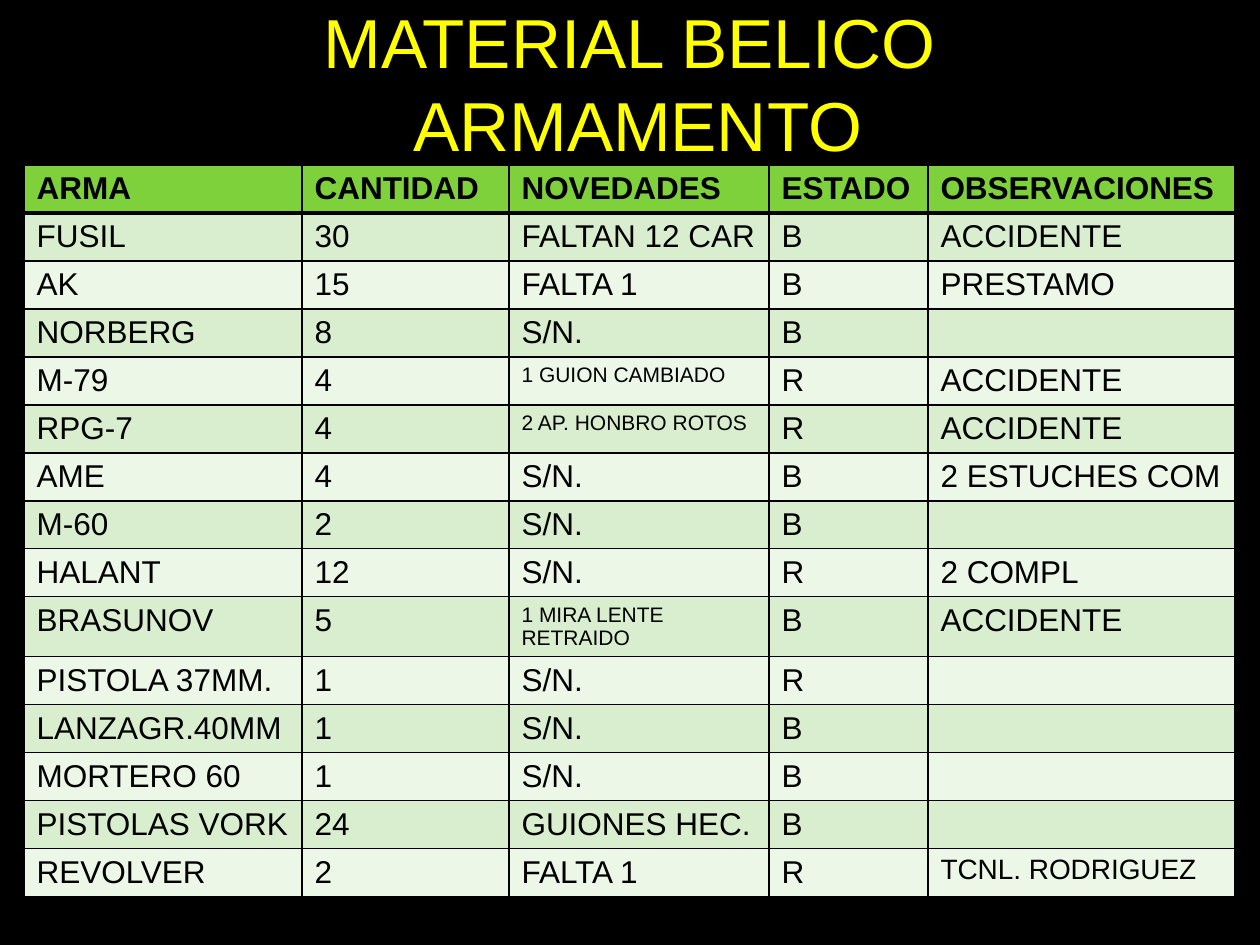
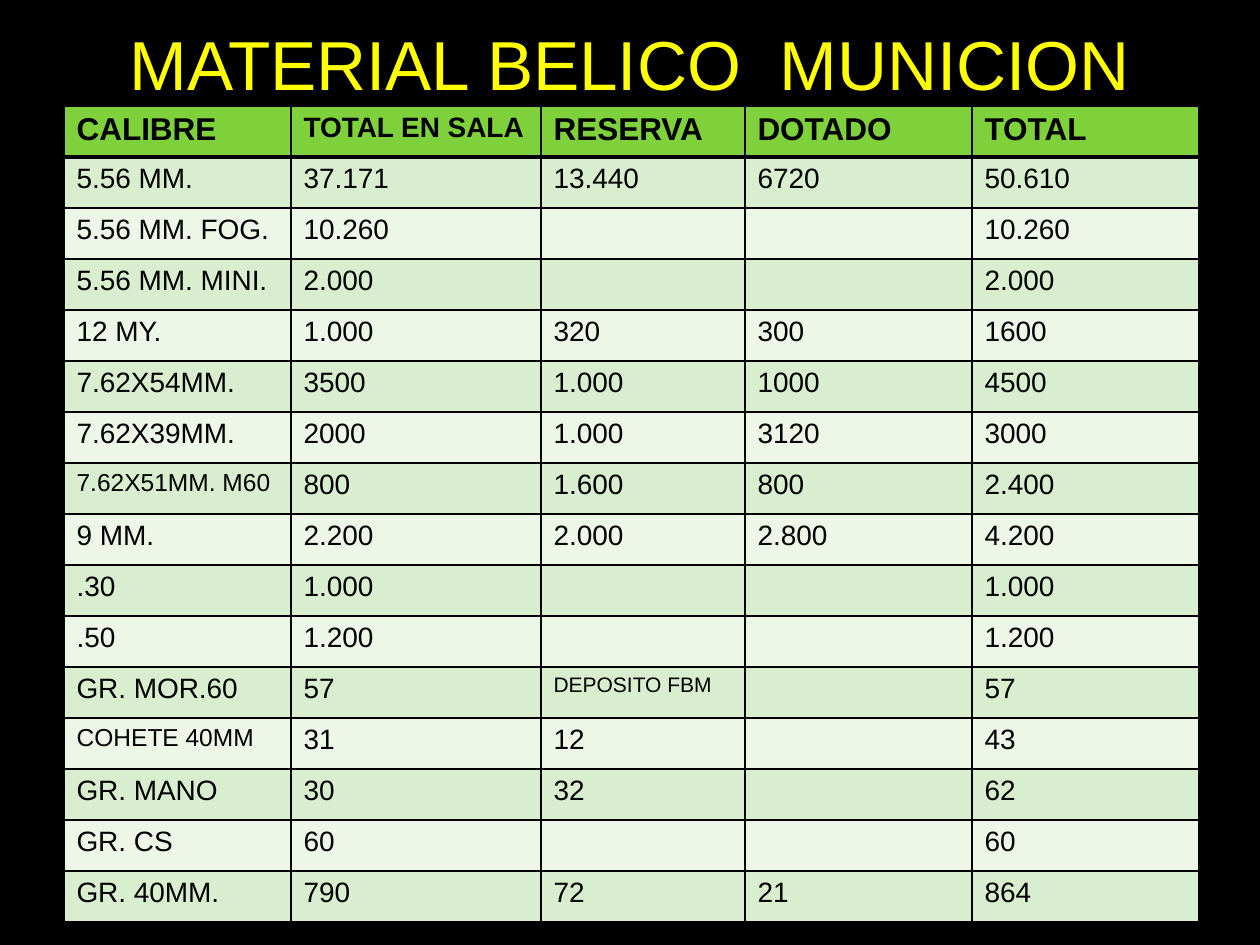
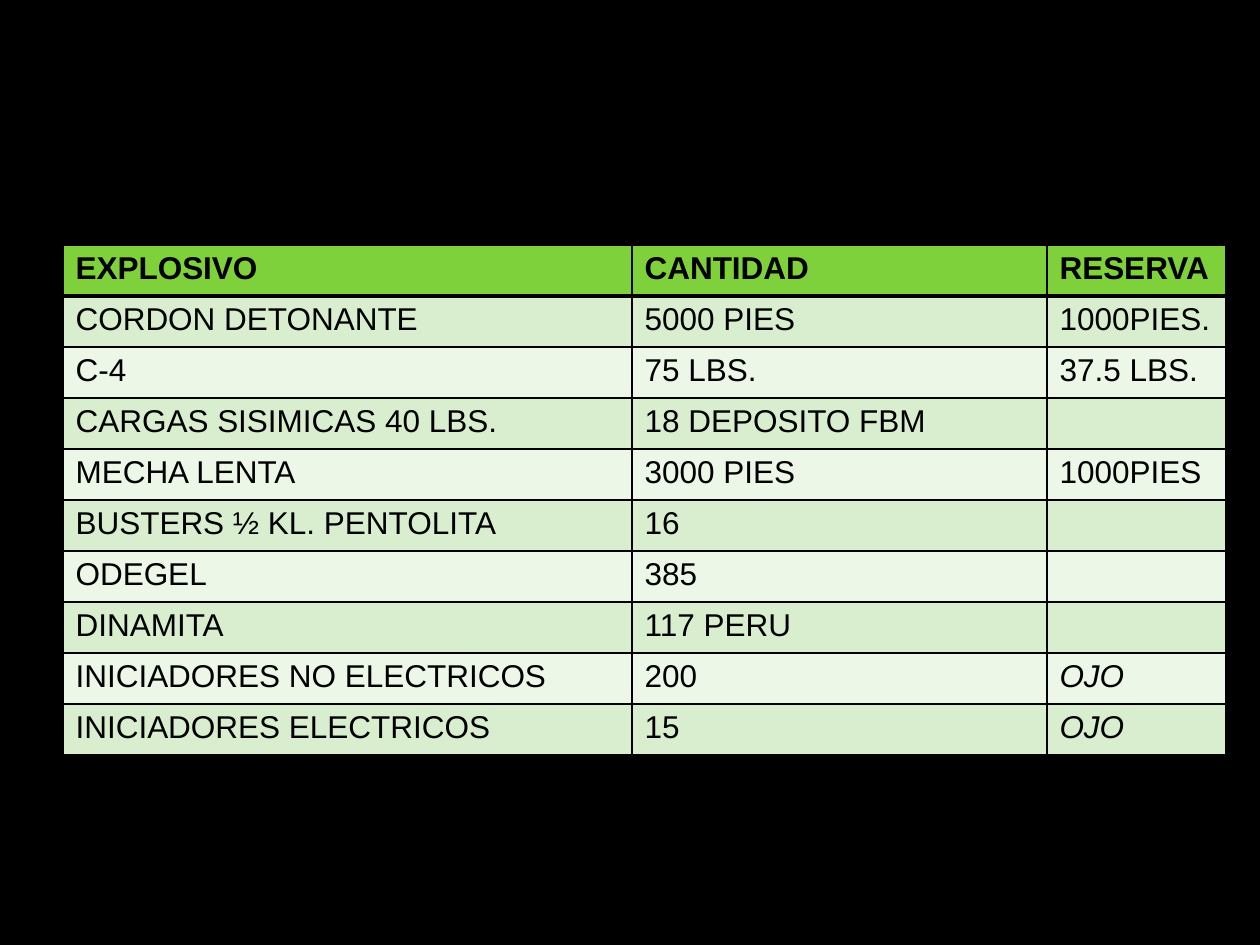
"""Build three dark slides listing arms, ammunition and explosives."""
import pptx
import pptx.dml.color
import pptx.enum.text
import pptx.oxml.ns
import pptx.util
from lxml import etree

BLACK = pptx.dml.color.RGBColor(0x00, 0x00, 0x00)
YELLOW = pptx.dml.color.RGBColor(0xFF, 0xFF, 0x00)
GREEN = pptx.dml.color.RGBColor(0x7F, 0xD1, 0x3B)
BANDS = (pptx.dml.color.RGBColor(0xEC, 0xF7, 0xE8),
         pptx.dml.color.RGBColor(0xD8, 0xEE, 0xCE))

ARMS = [
    ("ARMA", "CANTIDAD", "NOVEDADES", "ESTADO", "OBSERVACIONES"),
    ("FUSIL", "30", "FALTAN 12 CAR", "B", "ACCIDENTE"),
    ("AK", "15", "FALTA 1", "B", "PRESTAMO"),
    ("NORBERG", "8", "S/N.", "B", ""),
    ("M-79", "4", "1 GUION CAMBIADO", "R", "ACCIDENTE"),
    ("RPG-7", "4", "2 AP. HONBRO ROTOS", "R", "ACCIDENTE"),
    ("AME", "4", "S/N.", "B", "2 ESTUCHES COM"),
    ("M-60", "2", "S/N.", "B", ""),
    ("HALANT", "12", "S/N.", "R", "2 COMPL"),
    ("BRASUNOV", "5", "1 MIRA LENTE RETRAIDO", "B", "ACCIDENTE"),
    ("PISTOLA 37MM.", "1", "S/N.", "R", ""),
    ("LANZAGR.40MM", "1", "S/N.", "B", ""),
    ("MORTERO 60", "1", "S/N.", "B", ""),
    ("PISTOLAS VORK", "24", "GUIONES HEC.", "B", ""),
    ("REVOLVER", "2", "FALTA 1", "R", "TCNL. RODRIGUEZ"),
]
AMMUNITION = [
    ("CALIBRE", "TOTAL EN SALA", "RESERVA", "DOTADO", "TOTAL"),
    ("5.56 MM.", "37.171", "13.440", "6720", "50.610"),
    ("5.56 MM. FOG.", "10.260", "", "", "10.260"),
    ("5.56 MM. MINI.", "2.000", "", "", "2.000"),
    ("12 MY.", "1.000", "320", "300", "1600"),
    ("7.62X54MM.", "3500", "1.000", "1000", "4500"),
    ("7.62X39MM.", "2000", "1.000", "3120", "3000"),
    ("7.62X51MM. M60", "800", "1.600", "800", "2.400"),
    ("9 MM.", "2.200", "2.000", "2.800", "4.200"),
    (".30", "1.000", "", "", "1.000"),
    (".50", "1.200", "", "", "1.200"),
    ("GR. MOR.60", "57", "DEPOSITO FBM", "", "57"),
    ("COHETE 40MM", "31", "12", "", "43"),
    ("GR. MANO", "30", "32", "", "62"),
    ("GR. CS", "60", "", "", "60"),
    ("GR. 40MM.", "790", "72", "21", "864"),
]
EXPLOSIVES = [
    ("EXPLOSIVO", "CANTIDAD", "RESERVA"),
    ("CORDON DETONANTE", "5000 PIES", "1000PIES."),
    ("C-4", "75 LBS.", "37.5 LBS."),
    ("CARGAS SISIMICAS 40 LBS.", "18 DEPOSITO FBM", ""),
    ("MECHA LENTA", "3000 PIES", "1000PIES"),
    ("BUSTERS ½ KL. PENTOLITA", "16", ""),
    ("ODEGEL", "385", ""),
    ("DINAMITA", "117 PERU", ""),
    ("INICIADORES NO ELECTRICOS", "200", "OJO"),
    ("INICIADORES ELECTRICOS", "15", "OJO"),
]
SMALL = {
    "1 GUION CAMBIADO": 12, "2 AP. HONBRO ROTOS": 12,
    "1 MIRA LENTE RETRAIDO": 12, "TCNL. RODRIGUEZ": 16,
    "TOTAL EN SALA": 16, "7.62X51MM. M60": 14,
    "DEPOSITO FBM": 12, "COHETE 40MM": 14,
}
ITALIC = {"OJO"}


def px(n):
    return pptx.util.Emu(round(n * 914400 / 126))


class Deck:
    def __init__(self):
        self.prs = pptx.Presentation()
        self.prs.slide_width, self.prs.slide_height = px(1260), px(945)
        self.s = None

    def slide(self):
        self.s = self.prs.slides.add_slide(self.prs.slide_layouts[6])
        fill = self.s.background.fill
        fill.solid()
        fill.fore_color.rgb = BLACK

    def run(self, p, text, size, color, bold=False, italic=False):
        r = p.add_run()
        r.text = text
        r.font.name, r.font.size = "Arial", pptx.util.Pt(size)
        r.font.bold, r.font.italic = bold, italic
        r.font.color.rgb = color

    def title(self, lines, height):
        tf = self.s.shapes.add_textbox(px(63), px(21), px(1134), px(height)).text_frame
        tf.word_wrap = True
        tf.vertical_anchor = pptx.enum.text.MSO_ANCHOR.MIDDLE
        p = tf.paragraphs[0]
        p.alignment = pptx.enum.text.PP_ALIGN.CENTER
        for i, line in enumerate(lines):
            if i:
                p.add_line_break()
            self.run(p, line, 39.6, YELLOW)

    def borders(self, cell, row):
        tc_pr = cell._tc.get_or_add_tcPr()
        qn = pptx.oxml.ns.qn
        widths = {"L": 1, "R": 1, "T": 3 if row == 1 else 1, "B": 3 if row == 0 else 1}
        for side, width in widths.items():
            ln = etree.SubElement(tc_pr, qn(f"a:ln{side}"), w=str(pptx.util.Pt(width)))
            fill = etree.SubElement(ln, qn("a:solidFill"))
            etree.SubElement(fill, qn("a:srgbClr"), val=str(BLACK))

    def table(self, left, top, widths, row_height, rows, body_size=18):
        table = self.s.shapes.add_table(
            len(rows), len(widths), px(left), px(top),
            px(sum(widths)), px(row_height * len(rows))).table
        for col, width in zip(table.columns, widths):
            col.width = px(width)
        for i, values in enumerate(rows):
            table.rows[i].height = px(row_height)
            for j, text in enumerate(values):
                cell = table.cell(i, j)
                self.borders(cell, i)
                cell.margin_bottom = px(3)
                cell.fill.solid()
                cell.fill.fore_color.rgb = BANDS[i % 2] if i else GREEN
                if text:
                    size = SMALL.get(text, body_size if i else 18)
                    self.run(cell.text_frame.paragraphs[0], text, size, BLACK,
                             bold=i == 0, italic=text in ITALIC)


def main():
    deck = Deck()
    deck.slide()
    deck.title(["MATERIAL BELICO", " ARMAMENTO"], 123)
    deck.table(24, 165, [278, 207, 260, 159, 307], 48, ARMS)
    deck.slide()
    deck.title(["MATERIAL BELICO  MUNICION"], 84)
    deck.table(64, 106, [227, 250, 204, 227, 227], 51, AMMUNITION, body_size=16)
    deck.slide()
    deck.table(63, 245, [569, 415, 179], 51, EXPLOSIVES)
    deck.prs.save("out.pptx")


if __name__ == "__main__":
    main()
